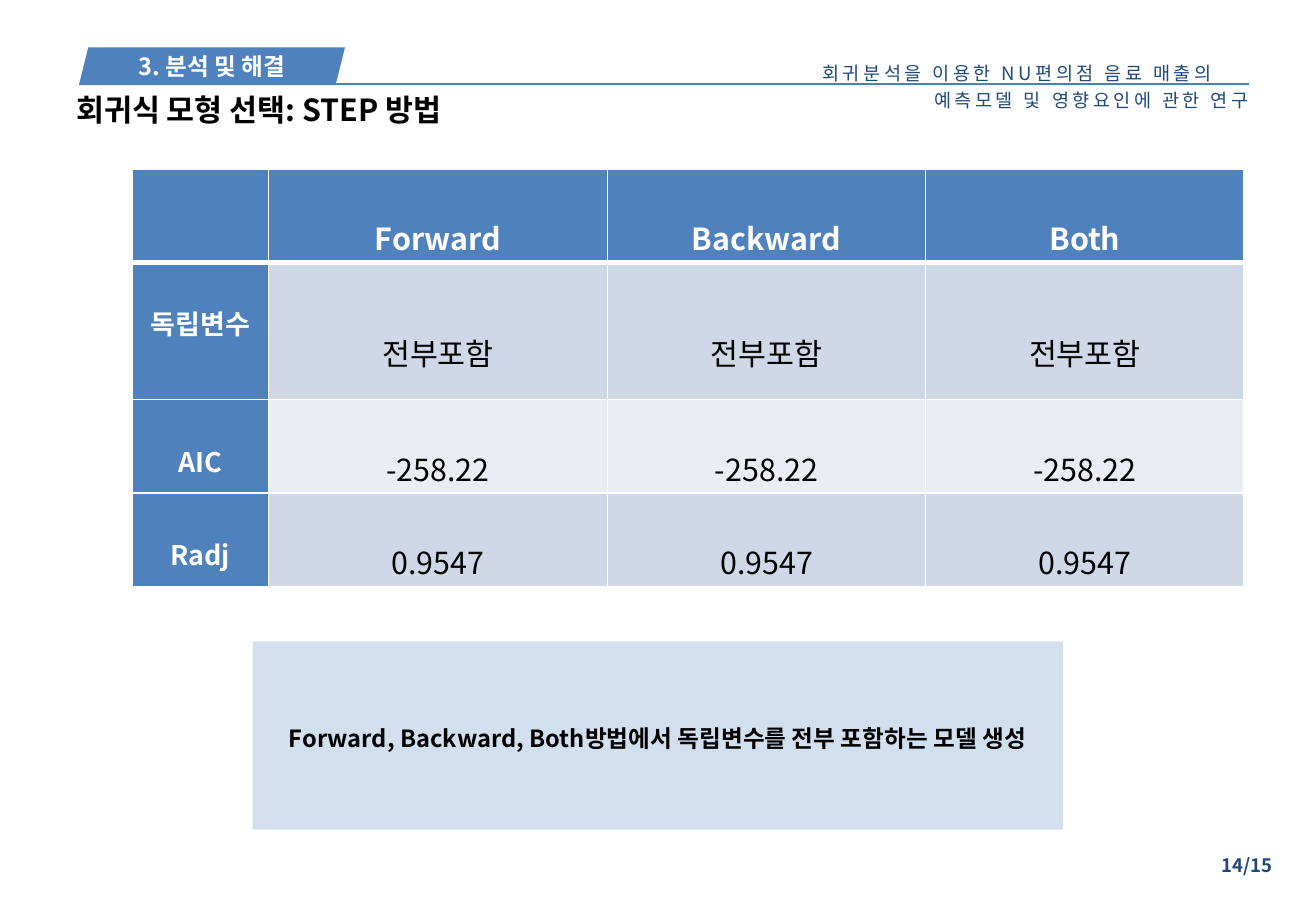
import dataclasses
import typing

import pptx
import pptx.dml.color
import pptx.enum.shapes
import pptx.enum.text
import pptx.oxml
import pptx.oxml.ns
import pptx.util

ALIGN = pptx.enum.text.PP_ALIGN
ANCHOR = pptx.enum.text.MSO_ANCHOR
SHAPE = pptx.enum.shapes.MSO_SHAPE
Inches = pptx.util.Inches
Pt = pptx.util.Pt
qn = pptx.oxml.ns.qn


@dataclasses.dataclass(frozen=True)
class Theme:
    font: str = "Noto Sans CJK KR"
    blue: str = "4F81BD"
    rule: str = "4B7EBC"
    navy: str = "1F497D"
    white: str = "FFFFFF"
    black: str = "000000"
    band_dark: str = "D0D8E8"
    band_light: str = "E9EDF4"
    small: float = 11
    body: float = 14
    row_label: float = 16
    large: float = 18


@dataclasses.dataclass(frozen=True)
class Area:
    """Position and size in percent of the slide's width and height."""
    left: float
    top: float
    width: float
    height: float


@dataclasses.dataclass(frozen=True)
class TableRow:
    label: str
    value: str
    height: float
    band: str
    value_spacing: float = 2


THEME = Theme()
WIDTH, HEIGHT = Inches(10.83), Inches(7.5)

METHODS = ("Forward", "Backward", "Both")
COLUMN_WIDTHS = (10.34, 25.76, 24.19, 24.19)
HEADER_HEIGHT = 10.27
ROWS = (
    TableRow("독립변수", "전부포함", 15.07, THEME.band_dark, 2.5),
    TableRow("AIC", "-258.22", 10.27, THEME.band_light),
    TableRow("Radj", "0.9547", 10.27, THEME.band_dark),
)


def across(share: float) -> int:
    return round(WIDTH * share / 100)


def down(share: float) -> int:
    return round(HEIGHT * share / 100)


def box(area: Area) -> tuple[int, int, int, int]:
    return across(area.left), down(area.top), across(area.width), down(area.height)


def rgb(colour: str) -> pptx.dml.color.RGBColor:
    return pptx.dml.color.RGBColor.from_string(colour)


def write(frame: typing.Any, text: str, *, size: float, colour: str = THEME.black,
          bold: bool = False, align: ALIGN = ALIGN.LEFT, spacing: typing.Any = None,
          tracking: float = 0, indents: tuple[float, ...] = ()) -> None:
    """Write one paragraph per line of text; indents are percent of slide width."""
    for index, line in enumerate(text.split("\n")):
        paragraph = frame.paragraphs[0] if index == 0 else frame.add_paragraph()
        paragraph.alignment = align
        if spacing is not None:
            paragraph.line_spacing = spacing
        if indents:
            paragraph._p.get_or_add_pPr().set("marL", str(across(indents[index])))
        run = paragraph.add_run()
        run.text = line
        run.font.size = Pt(size)
        run.font.bold = bold
        run.font.color.rgb = rgb(colour)
        run.font.name = THEME.font
        properties = run._r.get_or_add_rPr()
        if tracking:
            properties.set("spc", str(round(tracking * 100)))
        latin = properties.find(qn("a:latin"))
        east_asian = properties.makeelement(qn("a:ea"), {"typeface": THEME.font})
        latin.addnext(east_asian)


def add_text(slide: typing.Any, area: Area, text: str, *,
             anchor: ANCHOR = ANCHOR.TOP, **text_format: typing.Any) -> None:
    frame = slide.shapes.add_textbox(*box(area)).text_frame
    frame.word_wrap = True
    frame.vertical_anchor = anchor
    write(frame, text, **text_format)


def add_filled_shape(slide: typing.Any, kind: SHAPE, area: Area,
                     opacity: int = 100) -> typing.Any:
    shape = slide.shapes.add_shape(kind, *box(area))
    shape.shadow.inherit = False
    shape.fill.solid()
    shape.fill.fore_color.rgb = rgb(THEME.blue)
    shape.line.fill.background()
    if opacity < 100:
        colour = shape._element.spPr.find(qn("a:solidFill"))[0]
        colour.append(colour.makeelement(qn("a:alpha"), {"val": str(opacity * 1000)}))
    return shape


def add_rule(slide: typing.Any, left: float, right: float, top: float) -> None:
    line = slide.shapes.add_connector(
        pptx.enum.shapes.MSO_CONNECTOR.STRAIGHT,
        across(left), down(top), across(right), down(top))
    line.line.color.rgb = rgb(THEME.rule)
    line.line.width = Pt(1)
    properties = line._element.spPr
    properties.append(properties.makeelement(qn("a:effectLst"), {}))


def style_cell(cell: typing.Any, fill: str, top: int = 1, bottom: int = 1) -> None:
    """Fill a cell and give it white borders, widths in points."""
    cell.fill.solid()
    cell.fill.fore_color.rgb = rgb(fill)
    cell.margin_top = cell.margin_bottom = Inches(0.02)
    properties = cell._tc.get_or_add_tcPr()
    borders = (("L", 1), ("R", 1), ("T", top), ("B", bottom))
    for index, (side, width) in enumerate(borders):
        properties.insert(index, pptx.oxml.parse_xml(
            f'<a:ln{side} {pptx.oxml.ns.nsdecls("a")} w="{Pt(width)}"><a:solidFill>'
            f'<a:srgbClr val="{THEME.white}"/></a:solidFill></a:ln{side}>'))


def add_method_table(slide: typing.Any) -> None:
    heights = (HEADER_HEIGHT, *(row.height for row in ROWS))
    area = Area(10.06, 18.53, sum(COLUMN_WIDTHS), sum(heights))
    table = slide.shapes.add_table(len(heights), len(COLUMN_WIDTHS), *box(area)).table
    for column, width in zip(table.columns, COLUMN_WIDTHS):
        column.width = across(width)
    for table_row, height in zip(table.rows, heights):
        table_row.height = down(height)

    style_cell(table.cell(0, 0), THEME.blue, bottom=3)
    for column, method in enumerate(METHODS, start=1):
        header = table.cell(0, column)
        style_cell(header, THEME.blue, bottom=3)
        write(header.text_frame, method, size=THEME.large, colour=THEME.white,
              bold=True, align=ALIGN.CENTER, spacing=2.0)

    for index, row in enumerate(ROWS, start=1):
        top = 3 if index == 1 else 1
        label = table.cell(index, 0)
        style_cell(label, THEME.blue, top=top)
        write(label.text_frame, row.label, size=THEME.row_label, colour=THEME.white,
              bold=True, align=ALIGN.CENTER, spacing=2.0)
        for column in range(1, len(COLUMN_WIDTHS)):
            value = table.cell(index, column)
            style_cell(value, row.band, top=top)
            write(value.text_frame, row.value, size=THEME.large,
                  align=ALIGN.CENTER, spacing=float(row.value_spacing))


def main() -> None:
    presentation = pptx.Presentation()
    presentation.slide_width, presentation.slide_height = WIDTH, HEIGHT
    slide = presentation.slides.add_slide(presentation.slide_layouts[6])

    add_text(slide, Area(61.59, 5.6, 37.49, 7.33),
             "회귀분석을 이용한 NU편의점 음료 매출의\n예측모델 및 영향요인에 관한 연구",
             size=THEME.small, colour=THEME.navy, spacing=Pt(16), tracking=2,
             indents=(0, 8.5))
    add_text(slide, Area(75.99, 93.07, 21.61, 3.87), "14/15", size=THEME.small,
             colour=THEME.navy, bold=True, align=ALIGN.RIGHT)

    section_tab = add_filled_shape(slide, SHAPE.PARALLELOGRAM, Area(6, 5.2, 20.22, 4.13))
    section_tab.text_frame.vertical_anchor = ANCHOR.MIDDLE
    write(section_tab.text_frame, "3. 분석 및 해결", size=THEME.body,
          colour=THEME.white, bold=True, align=ALIGN.CENTER)
    add_rule(slide, left=24.75, right=94.92, top=9.2)

    add_method_table(slide)

    add_filled_shape(slide, SHAPE.RECTANGLE, Area(19.21, 70.4, 61.59, 20.67), opacity=25)
    add_text(slide, Area(21.05, 75.3, 57.89, 10.67),
             "Forward, Backward, Both방법에서 독립변수를 전부 포함하는 모델 생성",
             anchor=ANCHOR.MIDDLE, size=THEME.body, bold=True, spacing=1.25)
    add_text(slide, Area(4.89, 9.33, 33.43, 5.33), "회귀식 모형 선택: STEP 방법",
             size=THEME.large, bold=True)

    presentation.save("out.pptx")


if __name__ == "__main__":
    main()
